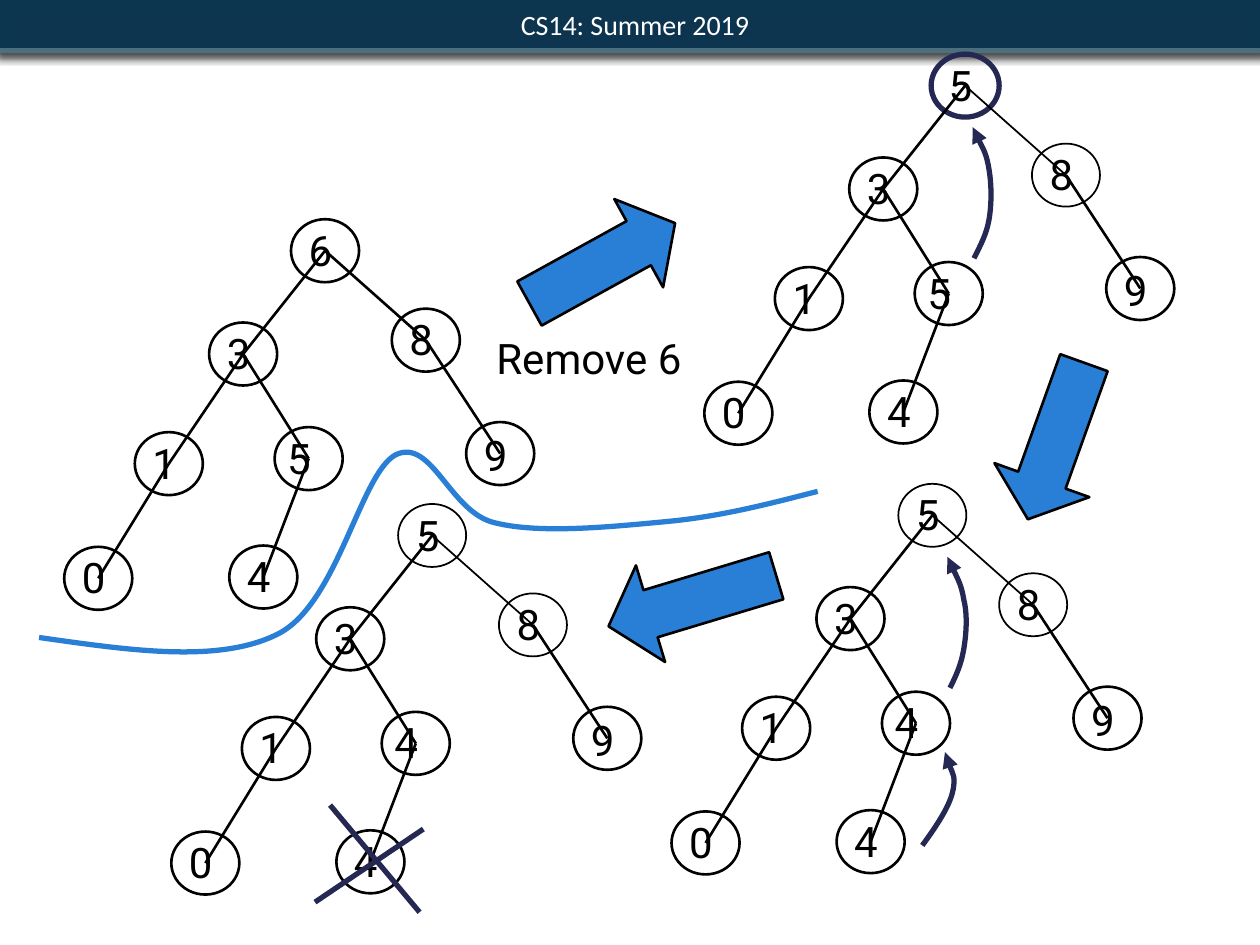
from lxml import etree
from pptx import Presentation
from pptx.dml.color import RGBColor
from pptx.enum.shapes import MSO_CONNECTOR, MSO_SHAPE
from pptx.enum.text import MSO_ANCHOR, MSO_AUTO_SIZE, PP_ALIGN
from pptx.oxml.ns import qn
from pptx.util import Pt

PX = 9144  # 100 px to the inch

BLACK = RGBColor(0x00, 0x00, 0x00)
WHITE = RGBColor(0xFF, 0xFF, 0xFF)
NAVY = RGBColor(0x24, 0x28, 0x52)
BLUE = RGBColor(0x29, 0x7F, 0xD5)
TEAL = RGBColor(0x42, 0x7A, 0x92)
DARK = RGBColor(0x06, 0x2F, 0x4B)

OVAL, RECT, ARROW = MSO_SHAPE.OVAL, MSO_SHAPE.RECTANGLE, MSO_SHAPE.RIGHT_ARROW
LINE = MSO_CONNECTOR.STRAIGHT
MIDDLE, CENTER, GROW = MSO_ANCHOR.MIDDLE, PP_ALIGN.CENTER, MSO_AUTO_SIZE.SHAPE_TO_FIT_TEXT

# Node spots, relative to the centre of the root
SPOTS = {
    "root": (0, 0), "right": (80, 71), "left": (-65, 82), "inner": (-13, 165),
    "outer": (-124, 169), "low": (-180, 260), "far": (139, 161), "leaf": (-49, 259),
}
EDGES = [
    ("root", "right"), ("root", "left"), ("left", "inner"), ("left", "outer"),
    ("outer", "low"), ("inner", "leaf"), ("right", "far"),
]
# Centre of the root, then keys in the order of SPOTS, then width of root and right parts
TREES = [
    ((258, 199), "68351094", 1.5, 1.5),
    ((766, 68), "58351094", 3, 1),
    ((740, 409), "58341094", 1, 1),
    ((343, 425), "58341094", 1, 1),
]
# Box, turn and two adjustments
ARROWS = [
    ((412, 169, 132, 80), 331.1, (0.5, 0.412)),
    ((772, 310, 132, 80), 109.7, (0.5, 0.412)),
    ((480, 437, 139, 80), 163.2, (0.488, 0.435)),
]
# Start point, then three points for each Bezier piece
MOVES = [
    [(773, 205), (778, 195), (783, 186), (785, 174), (787, 162), (787, 147),
     (785, 135), (783, 122), (777, 112), (772, 101)],
    [(754, 546), (759, 536), (763, 527), (765, 515), (767, 503), (768, 488),
     (765, 476), (763, 464), (757, 453), (752, 442)],
    [(732, 671), (743, 656), (753, 641), (756, 629), (759, 616), (751, 602), (750, 597)],
]
WAVE = [(31, 506), (102, 516), (174, 527), (221, 503), (268, 479), (286, 376),
        (314, 361), (343, 347), (357, 407), (393, 415), (429, 424), (486, 418),
        (529, 414), (572, 410), (610, 400), (649, 390)]
CROSS = [(262, 639, 333, 724), (336, 658, 250, 716)]


def child(node, tag, **attrs):
    return etree.SubElement(node, qn(tag), attrs)


def assign(obj, values):
    for name, value in values.items():
        setattr(obj, name, value)


class Pen:
    font = {"name": "Roboto", "size": Pt(24)}

    def __init__(self, slide):
        self.slide = slide
        self.shapes = slide.shapes

    def stroke(self, item, color, width):
        item.line.color.rgb = color
        item.line.width = Pt(width)

    def shape(self, kind, box, fill=None, color=None, width=1.5):
        item = self.shapes.add_shape(kind, *(n * PX for n in box))
        item.shadow.inherit = False
        if fill is None:
            item.fill.background()
        else:
            item.fill.solid()
            item.fill.fore_color.rgb = fill
        if color is None:
            item.line.fill.background()
        else:
            self.stroke(item, color, width)
        return item

    def text(self, item, words, pad, color=BLACK, **font):
        frame = item.text_frame
        sides = ("left", "right", "top", "bottom")
        assign(frame, {f"margin_{side}": pad * PX for side in sides})
        frame.vertical_anchor = MIDDLE
        par = frame.paragraphs[0]
        run = par.add_run()
        run.text = words
        assign(run.font, {**self.font, **font})
        run.font.color.rgb = color
        return par

    def label(self, words, box):
        item = self.shapes.add_textbox(*(n * PX for n in box))
        assign(item.text_frame, {"word_wrap": False, "auto_size": GROW})
        self.text(item, words, 5)

    def bar(self, box, fill, shade, alpha):
        """Header band with a soft shadow below."""
        item = self.shape(RECT, box, fill)
        glow = child(item._element.spPr.find(qn("a:effectLst")), "a:outerShdw",
                     blurRad="63500", dist="25400", dir="5400000", rotWithShape="0")
        child(child(glow, "a:srgbClr", val=shade), "a:alpha", val=alpha)
        return item

    def line(self, ends, color=BLACK, width=1.5):
        item = self.shapes.add_connector(LINE, *(n * PX for n in ends))
        self.stroke(item, color, width)
        child(item._element.spPr, "a:effectLst")

    def curve(self, points, color, head=False):
        """Open line of Bezier pieces, three points each after the start."""
        form = self.shapes.build_freeform(*points[0], scale=PX)
        form.add_line_segments(points[1:], close=False)
        item = form.convert_to_shape()
        item.shadow.inherit = False
        item.fill.background()
        self.stroke(item, color, 3)
        props = item._element.spPr
        track = next(props.iter(qn("a:path")))
        steps = track.findall(qn("a:lnTo"))
        for i in range(0, len(steps), 3):
            piece = child(track, "a:cubicBezTo")
            for step in steps[i:i + 3]:
                piece.append(step[0])
                track.remove(step)
        if head:
            child(props.find(qn("a:ln")), "a:tailEnd", type="triangle")

    def tree(self, root, keys, top, side):
        x, y = root
        spots = {name: (x + dx, y + dy) for name, (dx, dy) in SPOTS.items()}
        widths = {"root": top, "right": side}
        for key, (name, (cx, cy)) in zip(keys, spots.items()):
            shift = 22 if name == "inner" else 18
            drop = 24 if name == "far" else 26
            self.label(key, (cx - shift, cy - drop, 30, 50))
            color = NAVY if widths.get(name) == 3 else BLACK
            self.shape(OVAL, (cx - 27, cy - 25, 54, 50), color=color,
                       width=widths.get(name, 1.5))
        for start, end in EDGES:
            self.line(spots[start] + spots[end], width=widths.get(end, 1.5))

    def arrow(self, box, turn, adjust):
        item = self.shape(ARROW, box, BLUE, BLACK)
        item.rotation = turn
        for i, value in enumerate(adjust):
            item.adjustments[i] = value


def main():
    deck = Presentation()
    assign(deck, {"slide_width": 1000 * PX, "slide_height": 750 * PX})
    pen = Pen(deck.slides.add_slide(deck.slide_layouts[6]))

    pen.bar((-4, -6, 1007, 48), TEAL, "000000", "75000")
    band = pen.bar((-1, 0, 1003, 38), DARK, "5E5E5E", "50000")
    tint = band._element.spPr.find(qn("a:solidFill"))[0]
    child(tint, "a:alpha", val="90000")
    par = pen.text(band, "CS14: Summer 2019", 6, WHITE, name="Calibri", size=Pt(16))
    par.alignment = CENTER
    par._p.get_or_add_pPr().set("indent", str(7 * PX))

    for tree in TREES:
        pen.tree(*tree)
    pen.label("Remove 6", (389, 259, 157, 50))
    for arrow in ARROWS:
        pen.arrow(*arrow)
    for move in MOVES:
        pen.curve(move, NAVY, head=True)
    for ends in CROSS:
        pen.line(ends, NAVY, 3)
    pen.curve(WAVE, BLUE)

    deck.save("out.pptx")


if __name__ == "__main__":
    main()
